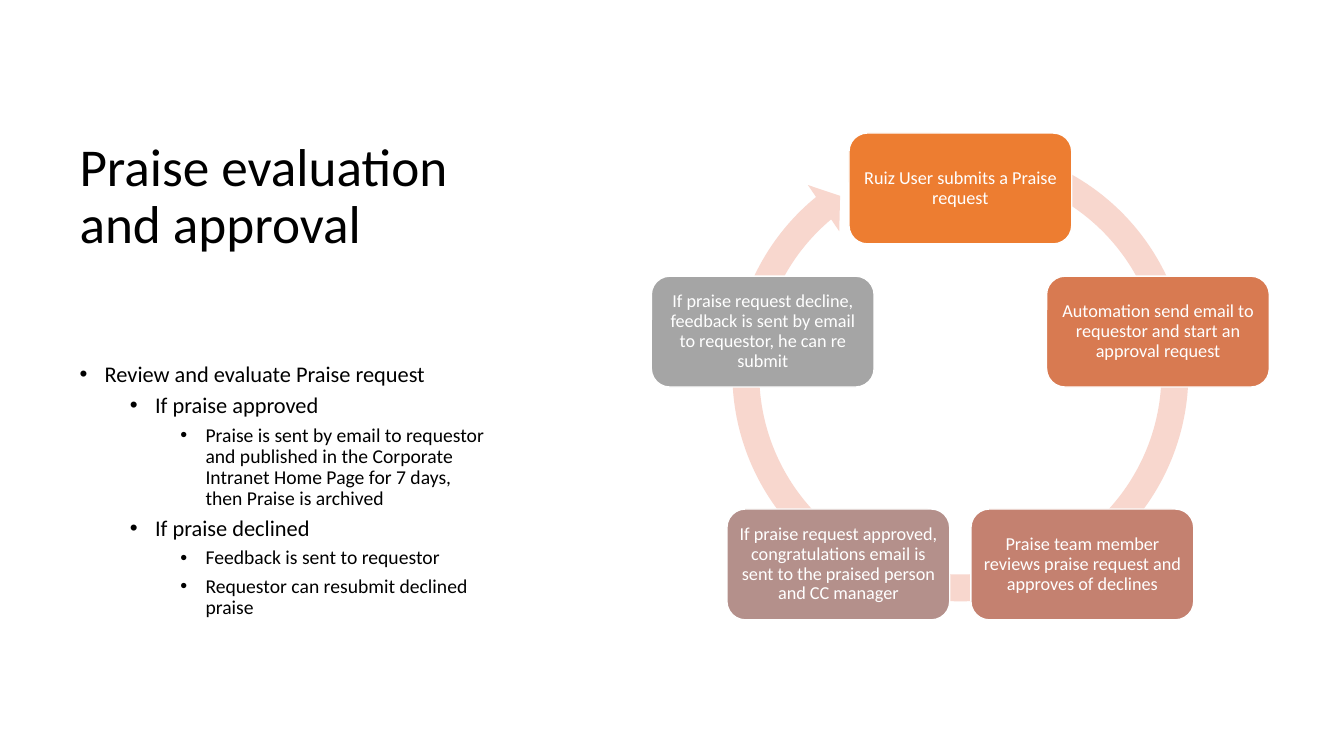
from dataclasses import dataclass
from math import cos, pi, sin

from lxml.etree import SubElement
from pptx import Presentation
from pptx.dml.color import RGBColor
from pptx.enum.shapes import MSO_SHAPE as Shape
from pptx.enum.text import MSO_ANCHOR as Anchor, PP_ALIGN as Align
from pptx.oxml.ns import qn
from pptx.util import Emu, Pt


@dataclass(frozen=True)
class Theme:
    font: str = "Calibri"
    ink: str = "000000"
    light: str = "FFFFFF"
    ring: str = "F8D7CE"
    title_size: int = 38
    node_size: int = 13
    level_sizes: tuple = (16, 16, 14)


THEME = Theme()
PX = 9144
NODE_WIDTH, NODE_HEIGHT = 221, 110
CYCLE_LEFT, CYCLE_TOP, CYCLE_RADIUS = 842, 132, 206
RING_ANGLES = (3.31, 138.24, 173.57)
BULLETS = [
    (0, "Review and evaluate Praise request"),
    (1, "If praise approved"),
    (2, "Praise is sent by email to requestor and published in the Corporate "
        "Intranet Home Page for 7 days, then Praise is archived"),
    (1, "If praise declined"),
    (2, "Feedback is sent to requestor"),
    (2, "Requestor can resubmit declined praise"),
]
STEPS = [
    ("ED7D31", "Ruiz User submits a Praise request"),
    ("D87A51", "Automation send email to requestor and start an approval request"),
    ("C48170", "Praise team member reviews praise request and approves of declines"),
    ("B4908B", "If praise request approved, congratulations email is sent to the "
               "praised person and CC manager"),
    ("A5A5A5", "If praise request decline, feedback is sent by email to requestor, "
               "he can re submit"),
]


def px(*lengths):
    return [Emu(length * PX) for length in lengths]


def write(para, text, size, color):
    para.line_spacing = 0.9
    span = para.add_run()
    span.text = text
    span.font.name = THEME.font
    span.font.size = Pt(size)
    span.font.color.rgb = RGBColor.from_string(color)


def add_text_frame(page, left, top, width, height, anchor):
    frame = page.shapes.add_textbox(*px(left, top, width, height)).text_frame
    frame.word_wrap = True
    frame.vertical_anchor = anchor
    return frame


def set_bullet(para, level):
    """Give the paragraph a bullet with a hanging indent for its level."""
    indent, = px(25)
    properties = para._p.get_or_add_pPr()
    properties.set("marL", str(indent * (1 + 2 * level)))
    properties.set("indent", str(-indent))
    SubElement(properties, qn("a:buFont"), typeface="Arial")
    SubElement(properties, qn("a:buChar"), char="•")


def add_bullets(page, left, top, width, height):
    frame = add_text_frame(page, left, top, width, height, Anchor.TOP)
    for index, (level, text) in enumerate(BULLETS):
        para = frame.add_paragraph() if index else frame.paragraphs[0]
        para.level = level
        set_bullet(para, level)
        para.space_before = Pt(5 if index else 0)
        write(para, text, THEME.level_sizes[level], THEME.ink)


def add_filled(page, kind, color, left, top, width, height):
    shape = page.shapes.add_shape(kind, *px(left, top, width, height))
    shape.shadow.inherit = False
    shape.fill.solid()
    shape.fill.fore_color.rgb = RGBColor.from_string(color)
    return shape


def add_ring(page):
    ring = add_filled(page, Shape.CIRCULAR_ARROW, THEME.ring, 712, 130, 481, 481)
    ring.line.fill.background()
    for index, value in enumerate((5.54 / 100, *RING_ANGLES, 5.76 / 100)):
        ring.adjustments[index] = value


def add_node(page, left, top, color, text):
    node = add_filled(page, Shape.ROUNDED_RECTANGLE, color,
                      left, top, NODE_WIDTH, NODE_HEIGHT)
    node.line.color.rgb = RGBColor.from_string(THEME.light)
    node.line.width = Pt(1)
    frame = node.text_frame
    frame.word_wrap = True
    frame.vertical_anchor = Anchor.MIDDLE
    frame.margin_left, frame.margin_top, frame.margin_right, frame.margin_bottom = px(5, 5, 5, 5)
    para = frame.paragraphs[0]
    para.alignment = Align.CENTER
    write(para, text, THEME.node_size, THEME.light)


def add_cycle(page):
    add_ring(page)
    for index, (color, text) in enumerate(STEPS):
        angle = 2 * pi * index / len(STEPS)
        left = round(CYCLE_LEFT + CYCLE_RADIUS * sin(angle))
        top = round(CYCLE_TOP + CYCLE_RADIUS * (1 - cos(angle)))
        add_node(page, left, top, color, text)


def main():
    deck = Presentation()
    deck.slide_width, deck.slide_height = px(1333, 750)
    page = deck.slides.add_slide(deck.slide_layouts[6])
    title = add_text_frame(page, 69, 70, 395, 188, Anchor.BOTTOM)
    write(title.paragraphs[0], "Praise evaluation and approval", THEME.title_size, THEME.ink)
    add_bullets(page, 69, 355, 422, 325)
    add_cycle(page)
    deck.save("out.pptx")


if __name__ == "__main__":
    main()
